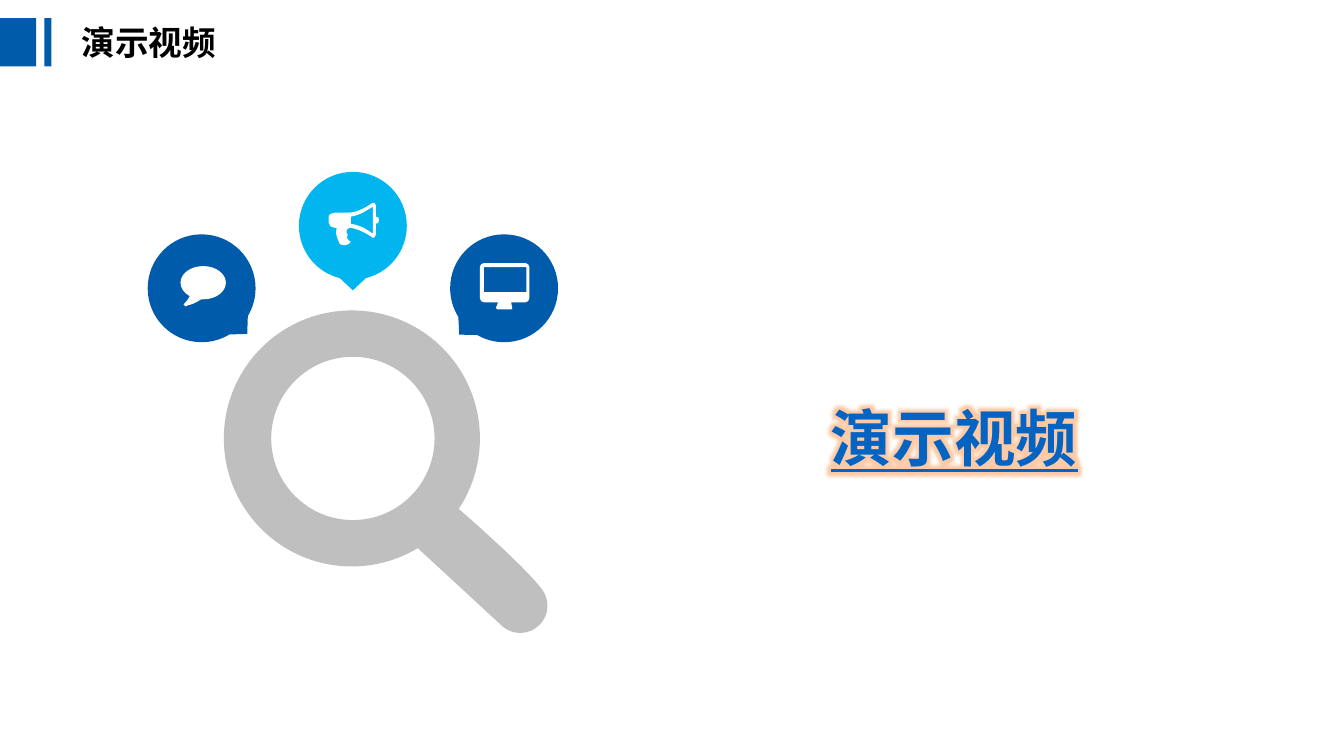
import math

import pptx
import pptx.dml.color
import pptx.enum.shapes
import pptx.enum.text
import pptx.oxml
import pptx.oxml.ns
import pptx.util

# Square grid: 13.33 columns by 7.5 rows
COLUMNS, ROWS = 13.33, 7.5
CELL = pptx.util.Inches(1)
FONT = "Noto Sans CJK SC"
BLUE, CYAN, GREY, WHITE = "005BAA", "01B5EF", "BFBFBF", "FFFFFF"
LABEL = "演示视频"
NAMESPACE = pptx.oxml.ns.nsdecls("a")


def cells(count):
    return pptx.util.Emu(round(count * CELL))


def color(value):
    return pptx.dml.color.RGBColor.from_string(value)


def paint(shape, fill):
    shape.fill.solid()
    shape.fill.fore_color.rgb = color(fill)
    shape.line.fill.background()
    shape.shadow.inherit = False


# A contour is a list of steps: one point is a line, three points are a curve
def arc(center, radii, start, end):
    def place(angle, along=0):
        cosine, sine = math.cos(angle), math.sin(angle)
        return (center[0] + radii[0] * (cosine - along * sine),
                center[1] + radii[1] * (sine + along * cosine))

    low, high = sorted((start, end))
    quarters = range(math.floor(low / 90) * 90 + 90, math.ceil(high / 90) * 90, 90)
    stops = sorted([low, *quarters, high], reverse=start > end)
    angles = [math.radians(stop) for stop in stops]
    steps = [[place(angles[0])]]
    for a, b in zip(angles, angles[1:]):
        pull = 4 / 3 * math.tan((b - a) / 4)
        steps.append([place(a, pull), place(b, -pull), place(b)])
    return steps


def rounded(left, top, right, bottom, radius):
    x_low, x_high = left + radius, right - radius
    y_low, y_high = top + radius, bottom - radius
    centers = ((x_high, y_high), (x_low, y_high), (x_low, y_low), (x_high, y_low))
    return [step for index, center in enumerate(centers)
            for step in arc(center, (radius, radius), index * 90, index * 90 + 90)]


def bend(shape, steps):
    lines = list(shape._element.iter(pptx.oxml.ns.qn("a:lnTo")))
    for line, step in zip(lines, steps):
        if len(step) == 3:
            points = "".join(f'<a:pt x="{cells(x) - shape.left}" y="{cells(y) - shape.top}"/>'
                             for x, y in step)
            line.getparent().replace(line, pptx.oxml.parse_xml(
                f'<a:cubicBezTo {NAMESPACE}>{points}</a:cubicBezTo>'))


def add_outline(slide, fill, *contours):
    corners = [[tuple(map(cells, step[-1])) for step in contour] for contour in contours]
    builder = slide.shapes.build_freeform(*corners[0][0], scale=1.0)
    for index, points in enumerate(corners):
        if index:
            builder.move_to(*points[0])
        builder.add_line_segments(points[1:], close=True)
    shape = builder.convert_to_shape()
    bend(shape, [step for contour in contours for step in contour[1:]])
    paint(shape, fill)


# Slide elements
def add_bar(slide, left, width):
    bar = slide.shapes.add_shape(pptx.enum.shapes.MSO_SHAPE.RECTANGLE,
                                 cells(left), cells(0.18), cells(width), cells(0.48))
    paint(bar, BLUE)


def set_label(shape, box, size, text_color, alignment):
    shape.left, shape.top, shape.width, shape.height = map(cells, box)
    frame = shape.text_frame
    frame.text = LABEL
    frame.word_wrap = True
    frame.auto_size = pptx.enum.text.MSO_AUTO_SIZE.SHAPE_TO_FIT_TEXT
    frame.vertical_anchor = pptx.enum.text.MSO_ANCHOR.TOP
    paragraph = frame.paragraphs[0]
    paragraph.alignment = alignment
    paragraph.line_spacing = 1.0
    paragraph.space_before = pptx.util.Pt(0)
    run = paragraph.runs[0]
    run.font.size = pptx.util.Pt(size)
    run.font.bold = True
    run.font.color.rgb = color(text_color)
    run.font.name = FONT
    east_asian = pptx.oxml.parse_xml(f'<a:ea {NAMESPACE} typeface="{FONT}"/>')
    run.font._element.find(pptx.oxml.ns.qn("a:latin")).addnext(east_asian)
    return run


def add_glow(run, glow_color):
    glow = pptx.oxml.parse_xml(
        f'<a:effectLst {NAMESPACE}><a:glow rad="139700">'
        f'<a:srgbClr val="{glow_color}"><a:alpha val="40000"/></a:srgbClr>'
        '</a:glow></a:effectLst>')
    run.font._element.find(pptx.oxml.ns.qn("a:solidFill")).addnext(glow)


def add_magnifier(slide):
    lens = arc((3.5, 4.35), (0.81, 0.81), 0, 360)
    rim = arc((3.49, 4.35), (1.27, 1.27), 33, -301)
    end_cap = arc((5.16, 6.01), (0.27, 0.27), 130, -34)
    upper_edge = [[(5.26, 5.68), (4.76, 5.23), (4.55, 5.05)]]
    add_outline(slide, GREY, rim + end_cap + upper_edge, lens)


def add_bubble(slide, center, tip_angle, fill):
    radius, reach, half_gap = 0.535, 0.64, 14
    body = arc(center, (radius, radius), tip_angle + half_gap, tip_angle + 360 - half_gap)
    tip = arc(center, (reach, reach), tip_angle, tip_angle)[:1]
    add_outline(slide, fill, body + tip)


def add_speech_icon(slide):
    body = arc((2.015, 2.805), (0.225, 0.165), 127, 455)
    tail = [[(1.95, 3), (1.91, 3.02), (1.86, 3.03)],
            [(1.86, 3.03), (1.85, 3.04), (1.84, 3.04)],
            [(1.82, 3.02)], [(1.83, 3.01)],
            [(1.85, 2.99), (1.86, 2.98), (1.88, 2.94)]]
    add_outline(slide, WHITE, body + tail)


def add_megaphone_icon(slide):
    outside = [[(3.76, 2.18)],
               [(3.76, 2.21), (3.75, 2.22), (3.73, 2.22)], [(3.73, 2.32)],
               [(3.73, 2.35), (3.71, 2.36), (3.7, 2.36)],
               [(3.64, 2.32), (3.56, 2.27), (3.47, 2.26)],
               [(3.43, 2.27), (3.43, 2.31), (3.45, 2.33)],
               [(3.43, 2.36), (3.45, 2.38), (3.48, 2.4)],
               [(3.46, 2.44), (3.39, 2.44), (3.37, 2.42)],
               [(3.35, 2.37), (3.32, 2.32), (3.34, 2.26)], [(3.32, 2.26)],
               [(3.29, 2.26), (3.26, 2.24), (3.26, 2.21)], [(3.26, 2.15)],
               [(3.26, 2.13), (3.29, 2.11), (3.32, 2.11)], [(3.45, 2.11)],
               [(3.55, 2.11), (3.64, 2.05), (3.7, 2.01)],
               [(3.71, 2.01), (3.73, 2.02), (3.73, 2.04)], [(3.73, 2.15)],
               [(3.75, 2.15), (3.76, 2.16), (3.76, 2.18)]]
    horn = [[(3.7, 2.05)],
            [(3.62, 2.1), (3.55, 2.14), (3.48, 2.15)], [(3.48, 2.22)],
            [(3.55, 2.23), (3.62, 2.26), (3.7, 2.32)]]
    add_outline(slide, WHITE, outside, horn)


def add_monitor_icon(slide):
    case = rounded(4.76, 2.61, 5.25, 3, 0.04)
    stand = [[(5.07, 3)], [(5.07, 3.02), (5.08, 3.04), (5.08, 3.05)],
             [(5.08, 3.07), (5.08, 3.07), (5.07, 3.07)], [(4.94, 3.07)],
             [(4.93, 3.07), (4.92, 3.07), (4.92, 3.05)],
             [(4.92, 3.04), (4.94, 3.02), (4.94, 3)]]
    screen = [[(5.22, 2.65)], [(4.8, 2.65)], [(4.8, 2.9)], [(5.22, 2.9)]]
    # The stand joins the case between its two lower corners
    add_outline(slide, WHITE, case[:2] + stand + case[2:], screen)


def main():
    presentation = pptx.Presentation()
    presentation.slide_width, presentation.slide_height = cells(COLUMNS), cells(ROWS)
    slide = presentation.slides.add_slide(presentation.slide_layouts[5])
    align = pptx.enum.text.PP_ALIGN

    # Heading
    add_bar(slide, 0, 0.36)
    add_bar(slide, 0.44, 0.07)
    set_label(slide.shapes.title, (0.71, 0.17, 1.65, 0.5), 24, "000000", align.LEFT)

    # Magnifier with three bubbles
    add_magnifier(slide)
    add_bubble(slide, (3.5, 2.24), 90, CYAN)
    add_bubble(slide, (5, 2.86), 134, BLUE)
    add_bubble(slide, (2, 2.86), 45, BLUE)
    add_speech_icon(slide)
    add_megaphone_icon(slide)
    add_monitor_icon(slide)

    # Glowing video label
    video_box = slide.shapes.add_textbox(0, 0, CELL, CELL)
    video_run = set_label(video_box, (7.08, 3.92, 4.77, 0.84), 44, "0563C1", align.CENTER)
    video_run.font.underline = True
    add_glow(video_run, "FF7C1F")

    presentation.save("out.pptx")


if __name__ == "__main__":
    main()
